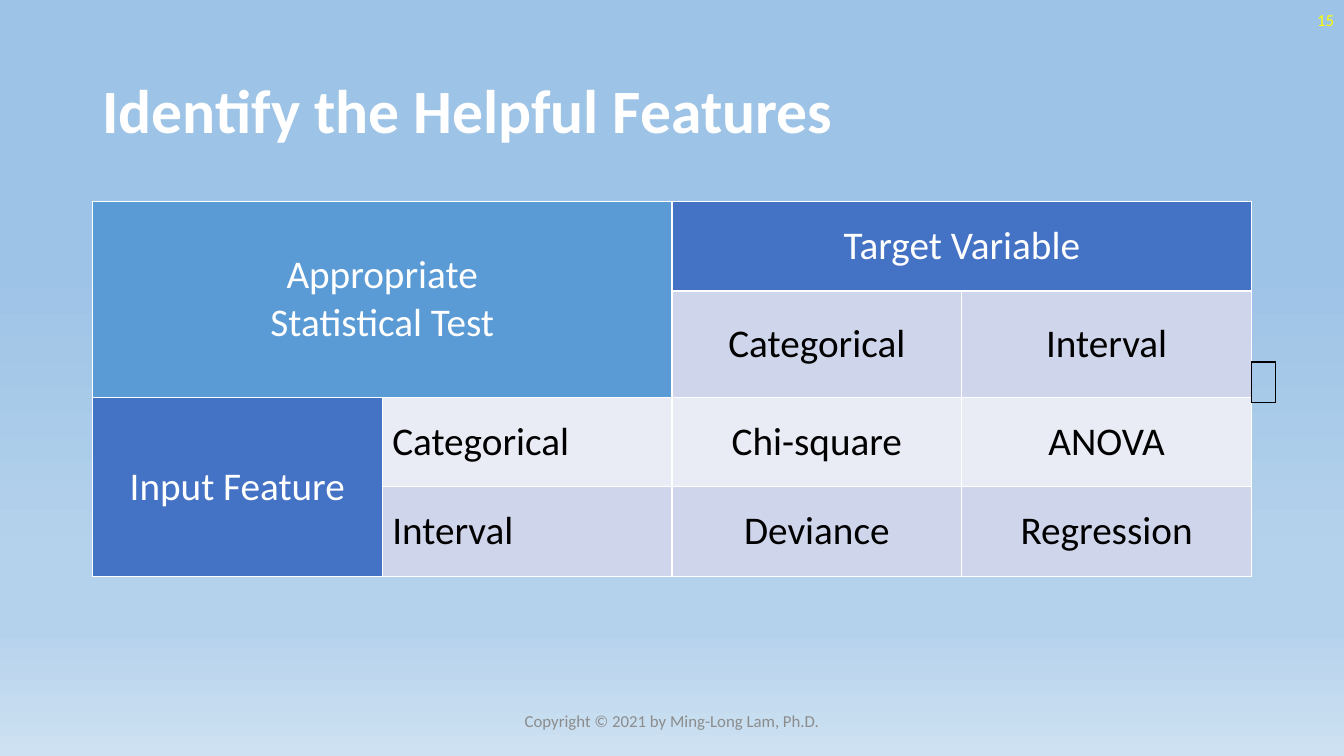
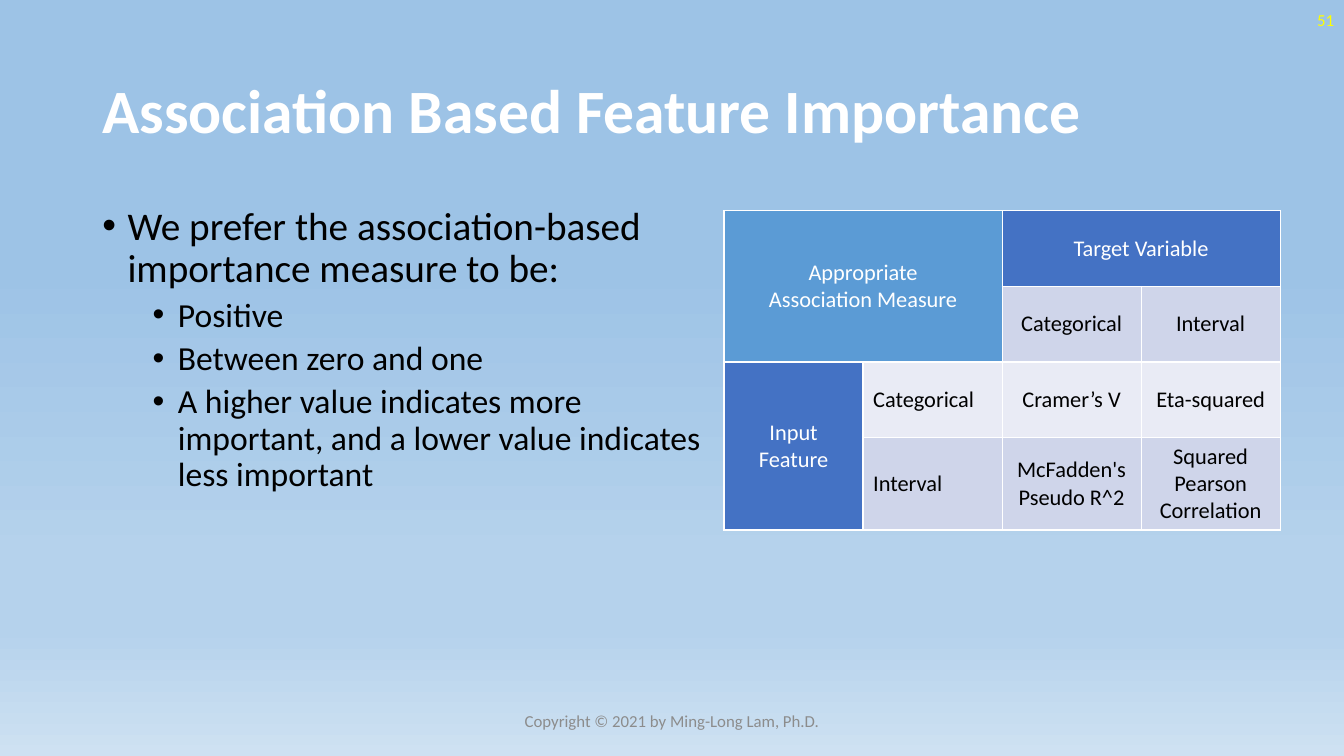
from lxml.etree import SubElement as Sub
from pptx import Presentation
from pptx.dml.color import RGBColor as Rgb
from pptx.enum.text import MSO_ANCHOR as Anchor, MSO_AUTO_SIZE as Fit, PP_ALIGN as Align
from pptx.oxml.ns import qn
from pptx.util import Inches, Pt

COLS, ROWS = 160, 90
WIDE, HIGH = Inches(13.33), Inches(7.5)
FONT = "Calibri"
WHITE, BLACK = Rgb(0xFF, 0xFF, 0xFF), Rgb(0, 0, 0)
YELLOW, GREY = Rgb(0xFF, 0xFF, 0), Rgb(0x8C, 0x8C, 0x8C)
SKY, BLUE = Rgb(0x5B, 0x9B, 0xD5), Rgb(0x44, 0x72, 0xC4)
DARK, LIGHT = Rgb(0xCF, 0xD5, 0xEA), Rgb(0xE9, 0xEB, 0xF5)
STOPS = [(35, Rgb(0x9D, 0xC3, 0xE6)), (74, Rgb(0xB5, 0xD2, 0xEC)),
         (83, Rgb(0xB5, 0xD2, 0xEC)), (100, Rgb(0xCE, 0xE1, 0xF2))]

TITLE = (11, 4.8, 138, 17.4)
NUMBER = (124, 0, 36, 4.8)
FOOTER = (53, 83.4, 54, 4.8)
COPYRIGHT = "Copyright © 2021 by Ming-Long Lam, Ph.D."


def grid(box):
    """Turn a box in grid columns and rows into slide lengths."""
    x, y, w, h = box
    return (int(WIDE * x / COLS), int(HIGH * y / ROWS),
            int(WIDE * w / COLS), int(HIGH * h / ROWS))


def style(para, size, color, align=Align.LEFT, bold=False):
    """Format a paragraph and all its runs."""
    para.alignment = align
    for font in [para.font] + [run.font for run in para.runs]:
        font.name, font.size, font.bold = FONT, Pt(size), bold
        font.color.rgb = color


def paint(master):
    """Give the master the shared gradient background."""
    fill = master.background.fill
    fill.gradient()
    fill.gradient_angle = 270
    stops = master.element.find(".//" + qn("a:gsLst"))
    for stop in list(stops):
        stops.remove(stop)
    for share, color in STOPS:
        stop = Sub(stops, qn("a:gs"), pos=str(share * 1000))
        Sub(stop, qn("a:srgbClr"), val=str(color))


def label(slide, box, text, color, align):
    """Place a small line of text in a box."""
    frame = slide.shapes.add_textbox(*grid(box)).text_frame
    frame.word_wrap = True
    frame.vertical_anchor = Anchor.MIDDLE
    frame.text = text
    style(frame.paragraphs[0], 12, color, align)


def start(deck, title, number):
    """Add a slide with its title, number and footer."""
    slide = deck.slides.add_slide(deck.slide_layouts[5])
    head = slide.shapes.title
    head.left, head.top, head.width, head.height = grid(TITLE)
    frame = head.text_frame
    frame.text = title
    frame.auto_size = Fit.NONE
    frame.vertical_anchor = Anchor.MIDDLE
    frame.paragraphs[0].line_spacing = 0.9
    style(frame.paragraphs[0], 44, WHITE, bold=True)
    label(slide, NUMBER, number, YELLOW, Align.RIGHT)
    label(slide, FOOTER, COPYRIGHT, GREY, Align.CENTER)
    return slide


def border(cell, color):
    """Draw a thin line on all four sides of a cell."""
    props = cell._tc.get_or_add_tcPr()
    for side in "LRTB":
        line = Sub(props, qn("a:ln" + side), w=str(Pt(1)))
        Sub(Sub(line, qn("a:solidFill")), qn("a:srgbClr"), val=str(color))


def table(slide, box, rows, cols):
    """Add a plain table with equal columns."""
    made = slide.shapes.add_table(rows, cols, *grid(box)).table
    made.first_row = made.horz_banding = False
    return made


def matrix(slide, corner, rows, size, name, tests):
    """Draw the feature by target table from its top left corner."""
    x, y, width = corner
    body = table(slide, (x, y, width, sum(rows)), 4, 4)
    for row, high in zip(body.rows, rows):
        row.height = int(HIGH * high / ROWS)
    kinds = ["Categorical", "Interval"]
    texts = [[name, "", "Target Variable", ""], ["", ""] + kinds,
             ["Input Feature", kinds[0]] + tests[0], ["", kinds[1]] + tests[1]]
    fills = [[SKY, SKY, BLUE, BLUE], [SKY, SKY, DARK, DARK],
             [BLUE, LIGHT, LIGHT, LIGHT], [BLUE, DARK, DARK, DARK]]
    for r, line in enumerate(texts):
        for c, text in enumerate(line):
            cell, fill = body.cell(r, c), fills[r][c]
            border(cell, WHITE)
            cell.fill.solid()
            cell.fill.fore_color.rgb = fill
            cell.vertical_anchor = Anchor.MIDDLE
            cell.text_frame.text = text
            ink = WHITE if fill in (SKY, BLUE) else BLACK
            align = Align.LEFT if c == 1 else Align.CENTER
            style(cell.text_frame.paragraphs[0], size, ink, align)
    for first, last in [((0, 0), (1, 1)), ((0, 2), (0, 3)), ((2, 0), (3, 0))]:
        body.cell(*first).merge(body.cell(*last))


def frame_box(slide, box):
    """Draw the small empty one-cell table."""
    cell = table(slide, box, 1, 1).cell(0, 0)
    border(cell, BLACK)
    cell.fill.background()


def bullets(slide, box, items):
    """Write a two-level bullet list in a box."""
    frame = slide.shapes.add_textbox(*grid(box)).text_frame
    frame.word_wrap = True
    for i, (level, text) in enumerate(items):
        para = frame.add_paragraph() if i else frame.paragraphs[0]
        para.text = text
        para.level = level
        props = para._p.get_or_add_pPr()
        props.set("marL", str(Inches(0.25 + 0.5 * level)))
        props.set("indent", str(Inches(-0.25)))
        Sub(props, qn("a:buFont"), typeface="Arial")
        Sub(props, qn("a:buChar"), char="•")
        para.line_spacing = 0.9
        para.space_before = Pt(5 if i else 0)
        style(para, 28 - 4 * level, BLACK)


def main():
    """Build both slides and save the deck."""
    deck = Presentation()
    deck.slide_width, deck.slide_height = WIDE, HIGH
    paint(deck.slide_master)

    slide = start(deck, "Identify the Helpful Features", "15")
    matrix(slide, (11, 24, 138), [10.65, 12.65, 10.65, 10.65], 28,
           "Appropriate\vStatistical Test",
           [["Chi-square", "ANOVA"], ["Deviance", "Regression"]])
    frame_box(slide, (149, 43.1, 2.8, 4.8))

    slide = start(deck, "Association Based Feature Importance", "51")
    bullets(slide, (11, 24, 74.4, 57.1), [
        (0, "We prefer the association-based importance measure to be:"),
        (1, "Positive"),
        (1, "Between zero and one"),
        (1, "A higher value indicates more important, "
            "and a lower value indicates less important")])
    matrix(slide, (86.2, 25.1, 66.2), [9, 9, 9, 11], 16,
           "Appropriate\vAssociation Measure",
           [["Cramer’s V", "Eta-squared"],
            ["McFadden's Pseudo R^2", "Squared Pearson Correlation"]])
    deck.save("out.pptx")


if __name__ == "__main__":
    main()
